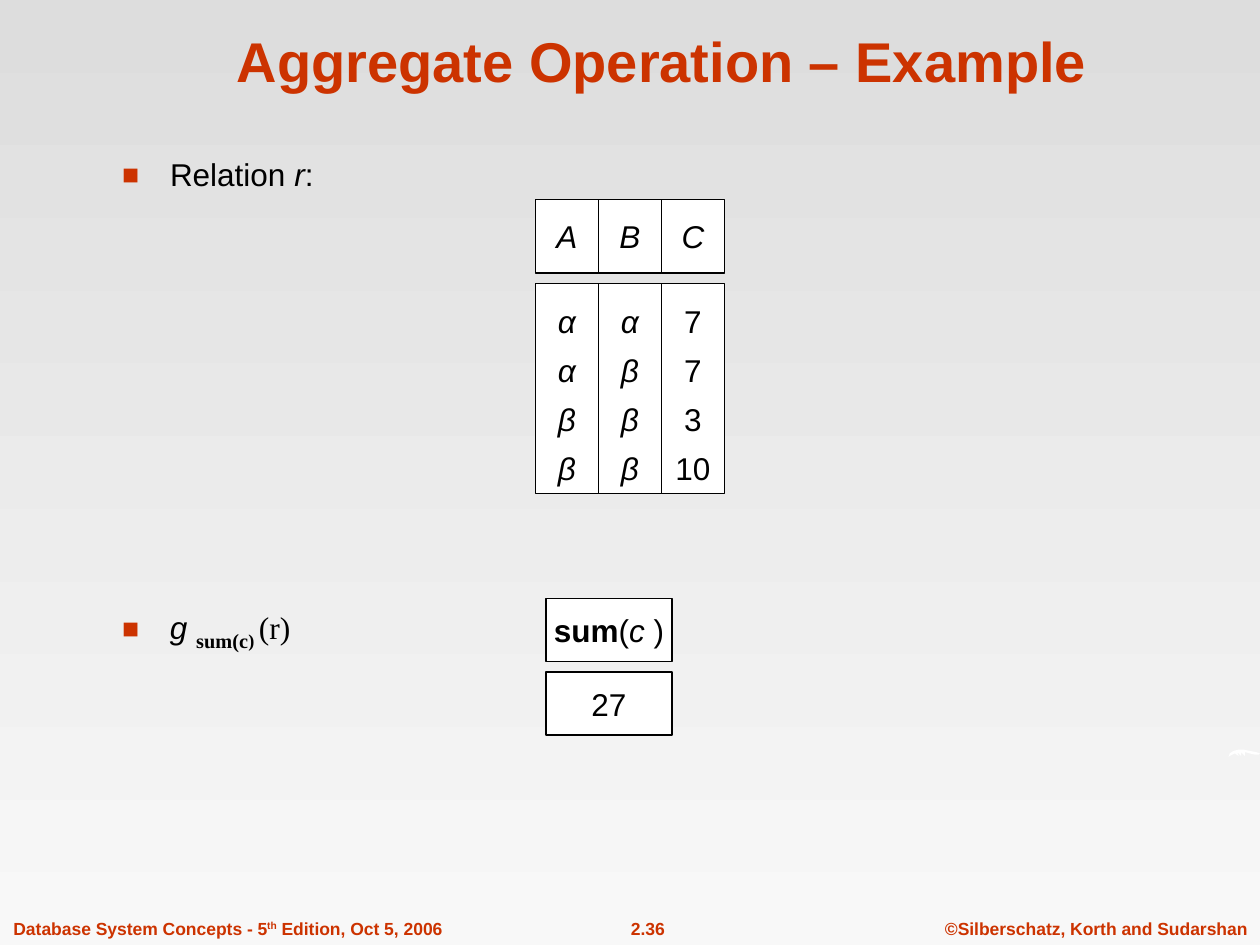
from dataclasses import dataclass, field
import pptx
import pptx.dml.color
import pptx.enum.shapes
import pptx.enum.text
import pptx.oxml
import pptx.oxml.ns
import pptx.util

UNIT = pptx.util.Inches(1 / 12)
COLS, ROWS = 120, 90
RED, BLACK, WHITE = "CC3300", "000000", "FFFFFF"
ALIGN = pptx.enum.text.PP_ALIGN
ANCHOR = pptx.enum.text.MSO_ANCHOR
FIT = pptx.enum.text.MSO_AUTO_SIZE
BASE = {"name": "Arial", "size": pptx.util.Pt(18), "bold": False, "italic": False}
FOOT = {"size": pptx.util.Pt(10), "bold": True}
SERIF = {"name": "Times New Roman"}
ITAL = {"italic": True}


@dataclass
class Run:
    text: str
    form: dict = field(default_factory=dict)
    shift: int = 0


@dataclass
class Box:
    col: float
    row: float
    wide: float
    high: float
    lines: list[list[Run]]


def tint(code: str) -> pptx.dml.color.RGBColor:
    return pptx.dml.color.RGBColor.from_string(code)


def place(box: Box) -> list[int]:
    return [round(n * UNIT) for n in (box.col, box.row, box.wide, box.high)]


def apply(item, form: dict) -> None:
    for key, value in form.items():
        setattr(item, key, value)


def write(frame, lines: list[list[Run]], color: str, para: dict) -> None:
    for n, line in enumerate(lines):
        par = frame.add_paragraph() if n else frame.paragraphs[0]
        apply(par, para)
        for part in line:
            run = par.add_run()
            run.text = part.text
            apply(run.font, BASE | part.form)
            run.font.color.rgb = tint(color)
            if part.shift:
                run._r.get_or_add_rPr().set("baseline", str(part.shift * 1000))


def draw_cell(slide, box: Box) -> None:
    cell = slide.shapes.add_shape(pptx.enum.shapes.MSO_SHAPE.RECTANGLE, *place(box))
    cell.shadow.inherit = False
    cell.fill.solid()
    cell.fill.fore_color.rgb = tint(WHITE)
    cell.line.color.rgb = tint(BLACK)
    cell.line.width = pptx.util.Pt(0.75)
    apply(cell.text_frame, {"word_wrap": False, "vertical_anchor": ANCHOR.MIDDLE})
    space = 1.3 if len(box.lines) > 1 else 1.0
    write(cell.text_frame, box.lines, BLACK, {"alignment": ALIGN.CENTER, "line_spacing": space})


def draw_foot(slide, box: Box, align) -> None:
    frame = slide.shapes.add_textbox(*place(box)).text_frame
    apply(frame, {"word_wrap": False, "auto_size": FIT.SHAPE_TO_FIT_TEXT})
    write(frame, box.lines, RED, {"alignment": align, "space_before": pptx.util.Pt(6.2)})


def draw_point(slide, box: Box) -> None:
    frame = slide.shapes.add_textbox(*place(box)).text_frame
    frame.word_wrap = True
    write(frame, box.lines, BLACK, {"space_before": pptx.util.Pt(7.9)})
    props = frame.paragraphs[0]._p.get_or_add_pPr()
    dent = pptx.util.Inches(0.38)
    props.set("marL", str(dent))
    props.set("indent", str(-dent))
    space = pptx.oxml.ns.nsdecls("a")
    for mark in (
        f'<a:buClr {space}><a:srgbClr val="{RED}"/></a:buClr>',
        f'<a:buSzPct {space} val="90000"/>',
        f'<a:buFont {space} typeface="Arial"/>',
        f'<a:buChar {space} char="■"/>',
    ):
        props.append(pptx.oxml.parse_xml(mark))


def draw_wave(slide) -> None:
    rim = [(975, 601), (976, 598), (979, 596), (983, 595), (987, 595),
           (992, 596), (997, 597), (1000, 598), (999, 599), (996, 599),
           (992, 598), (988, 597), (988, 600), (985, 597), (985, 600),
           (982, 597), (983, 600), (980, 598), (978, 599), (976, 600)]
    pen = slide.shapes.build_freeform(*rim[0], scale=pptx.util.Inches(0.01))
    pen.add_line_segments(rim[1:], close=True)
    wave = pen.convert_to_shape()
    wave.shadow.inherit = False
    wave.fill.solid()
    wave.fill.fore_color.rgb = tint(WHITE)
    wave.line.fill.background()


def main() -> None:
    deck = pptx.Presentation()
    apply(deck, {"slide_width": COLS * UNIT, "slide_height": ROWS * UNIT})
    slide = deck.slides.add_slide(deck.slide_layouts[5])
    back = slide.background.fill
    back.gradient()
    back.gradient_angle = 270
    for stop, code in zip(back.gradient_stops, ("DDDDDD", "F8F8F8")):
        stop.color.rgb = tint(code)

    name = Run("Aggregate Operation – Example", {"size": pptx.util.Pt(32), "bold": True})
    head = Box(10.05, 1.52, 106, 8, [[name]])
    title = slide.shapes.title
    apply(title, dict(zip(("left", "top", "width", "height"), place(head))))
    apply(title.text_frame, {"vertical_anchor": ANCHOR.BOTTOM, "auto_size": FIT.NONE})
    write(title.text_frame, head.lines, RED, {"alignment": ALIGN.CENTER})

    book = [Run("Database System Concepts - 5", FOOT), Run("th", FOOT, 30),
            Run(" Edition, Oct 5, 2006", FOOT)]
    for col, wide, line, align in (
        (88.8, 31.2, [Run("©Silberschatz, Korth and Sudarshan", FOOT)], ALIGN.CENTER),
        (55.8, 11.8, [Run("2.36", FOOT)], ALIGN.CENTER),
        (0.1, 44, book, ALIGN.LEFT),
    ):
        draw_foot(slide, Box(col, 86.8, wide, 3.2, [line]), align)
    draw_wave(slide)

    small = SERIF | {"size": pptx.util.Pt(20), "bold": True}
    draw_point(slide, Box(10.45, 14.2, 23.2, 7.6, [[Run("Relation "), Run("r", ITAL), Run(":")]]))
    draw_point(slide, Box(10.45, 57, 26.4, 7.3, [[
        Run("g ", ITAL), Run("sum(c", small, -25),
        Run(") ", SERIF | {"bold": True}, -25), Run("(r)", SERIF)]]))

    table = {"A": "α α β β", "B": "α β β β", "C": "7 7 3 10"}
    for n, (key, data) in enumerate(table.items()):
        col = 51 + 6 * n
        form = {} if key == "C" else ITAL
        draw_cell(slide, Box(col, 19, 6, 7, [[Run(key, ITAL)]]))
        draw_cell(slide, Box(col, 27, 6, 20, [[Run(text, form)] for text in data.split()]))

    total = [Run("sum", {"bold": True}), Run("("), Run("c ", ITAL), Run(")")]
    for row, line in ((57, total), (64, [Run("27")])):
        draw_cell(slide, Box(52, row, 12, 6, [line]))
    deck.save("out.pptx")


if __name__ == "__main__":
    main()
